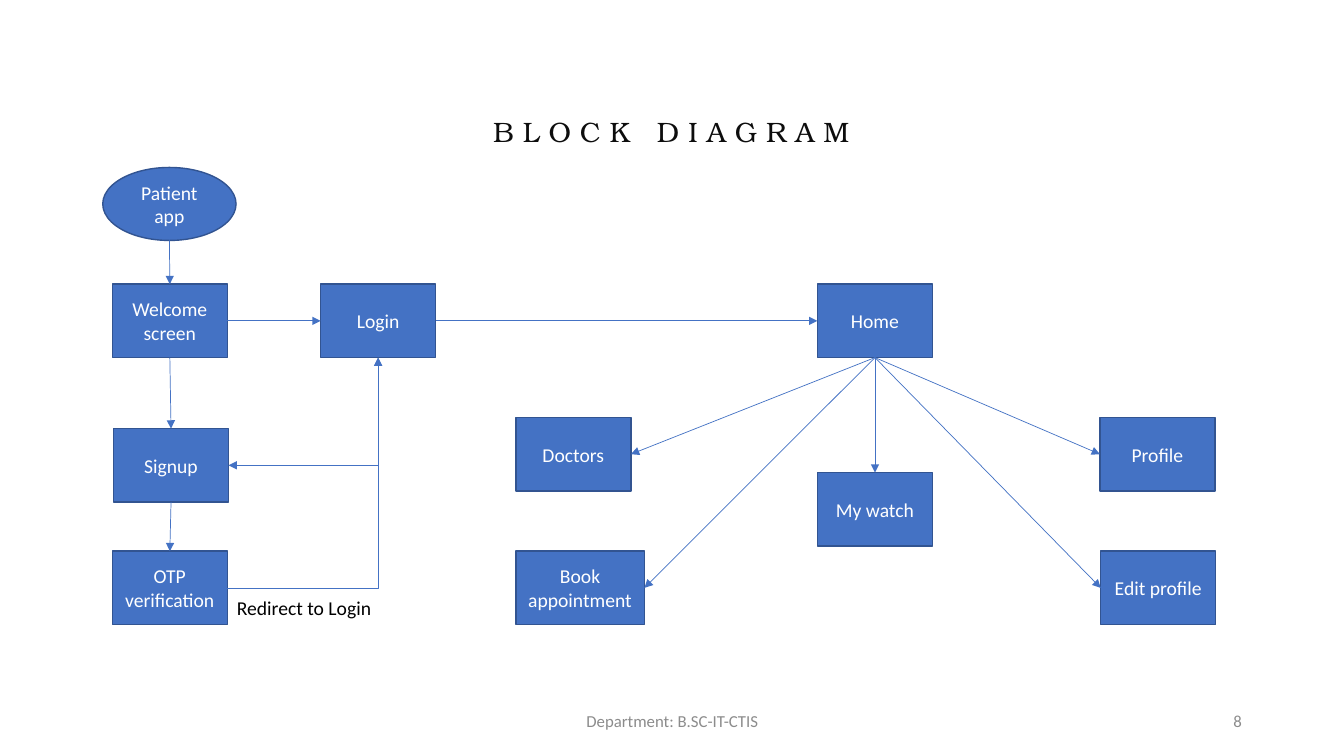
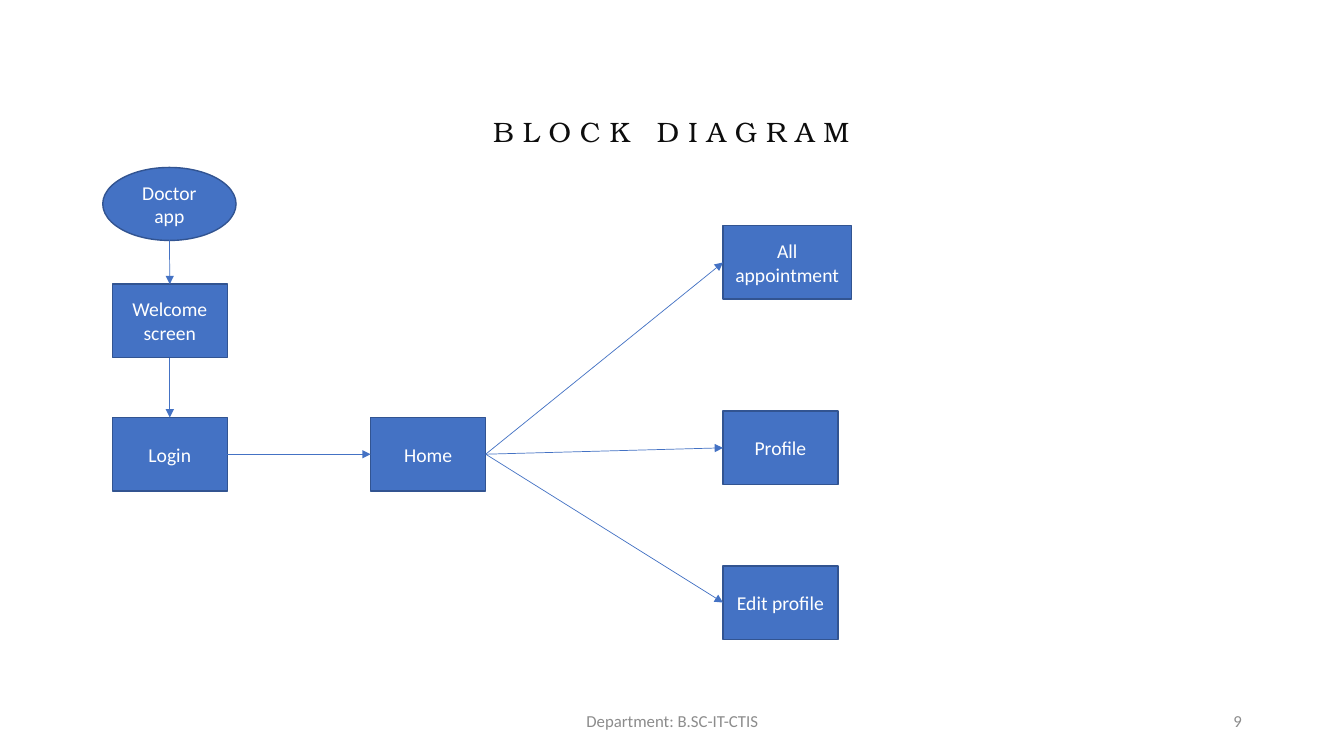
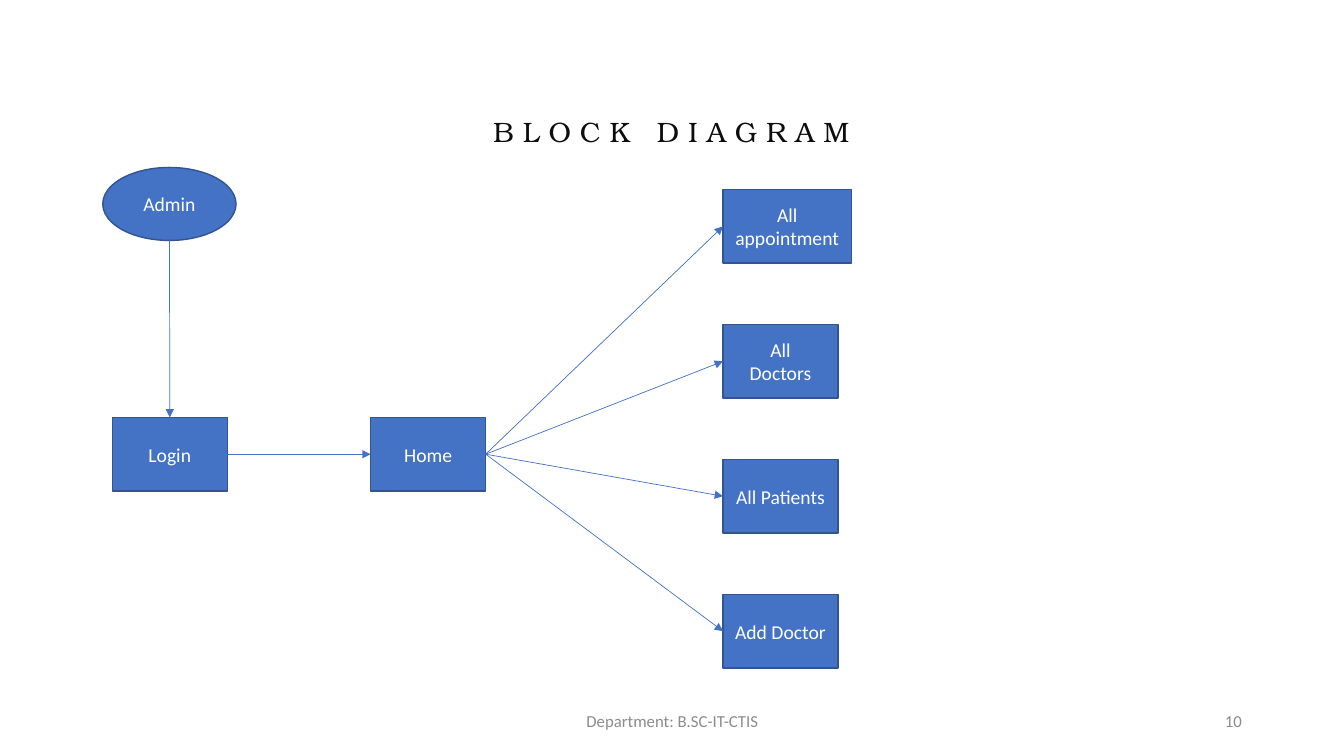
from pptx import Presentation
from pptx.dml.color import RGBColor
from pptx.enum.shapes import MSO_CONNECTOR, MSO_SHAPE
from pptx.enum.text import MSO_ANCHOR, MSO_AUTO_SIZE, PP_ALIGN
from pptx.oxml.ns import qn
from pptx.util import Cm, Pt
from lxml import etree

RECTANGLE, OVAL = MSO_SHAPE.RECTANGLE, MSO_SHAPE.OVAL
STRAIGHT, ELBOW = MSO_CONNECTOR.STRAIGHT, MSO_CONNECTOR.ELBOW
LEFT, CENTER, RIGHT = PP_ALIGN.LEFT, PP_ALIGN.CENTER, PP_ALIGN.RIGHT
TOP, MIDDLE = MSO_ANCHOR.TOP, MSO_ANCHOR.MIDDLE
NO_AUTOFIT = MSO_AUTO_SIZE.NONE

BLUE = RGBColor(0x44, 0x72, 0xC4)
DARK_BLUE = RGBColor(0x32, 0x54, 0x91)
WHITE = RGBColor(0xFF, 0xFF, 0xFF)
BLACK = RGBColor(0x00, 0x00, 0x00)
TITLE_COLOR = RGBColor(0x0D, 0x0D, 0x0D)
GREY = RGBColor(0x8C, 0x8C, 0x8C)

BODY_FONT = "Calibri"
TITLE_FONT = "TeX Gyre Bonum"
TITLE_WORDS = ("B L O C K", "D I A G R A M")
TITLE_GAP = 1280
FOOTER = "Department: B.SC-IT-CTIS"

BLOCK_WIDTH, BLOCK_HEIGHT = 2.9, 1.85
WIDE_BLOCK = 3.24
START_WIDTH, START_HEIGHT = 3.36, 1.84
BLOCK_INDENT = 0.24
DIAGRAM = (2.59, 4.22)
SITE_TOP, SITE_LEFT, SITE_BOTTOM, SITE_RIGHT = range(4)
OVAL_BOTTOM = "4"


def write_text(frame, text, size=14, color=WHITE, font=BODY_FONT,
               align=CENTER, anchor=MIDDLE, gap=None):
    frame.word_wrap = True
    frame.auto_size = NO_AUTOFIT
    frame.vertical_anchor = anchor
    for index, line in enumerate(text.split("\n")):
        paragraph = frame.add_paragraph() if index else frame.paragraphs[0]
        paragraph.alignment = align
        pieces = line.partition("\t") if gap else (line,)
        for piece in pieces:
            run = paragraph.add_run()
            run.text = piece.replace("\t", " ")
            run.font.size = Pt(size)
            run.font.name = font
            run.font.color.rgb = color
            if piece == "\t":
                run.font._element.set("spc", str(gap))


def add_label(slide, text, left, top, width, height, **style):
    label = slide.shapes.add_textbox(Cm(left), Cm(top), Cm(width), Cm(height))
    write_text(label.text_frame, text, **style)


def add_block(slide, text, left, top, width=BLOCK_WIDTH, height=BLOCK_HEIGHT,
              preset=RECTANGLE):
    block = slide.shapes.add_shape(
        preset, Cm(left), Cm(top), Cm(width), Cm(height))
    block.shadow.inherit = False
    block.fill.solid()
    block.fill.fore_color.rgb = BLUE
    block.line.color.rgb = DARK_BLUE
    block.line.width = Pt(1)
    write_text(block.text_frame, text)
    return block


def add_arrow(slide, source, source_site, target, target_site,
              kind=STRAIGHT, ends=("tailEnd",)):
    arrow = slide.shapes.add_connector(kind, 0, 0, 0, 0)
    arrow.begin_connect(source, source_site)
    arrow.end_connect(target, target_site)
    arrow.line.color.rgb = BLUE
    arrow.line.width = Pt(0.5)
    properties = arrow._element.spPr
    line = properties.find(qn("a:ln"))
    for end in ends:
        etree.SubElement(line, qn(f"a:{end}"), type="triangle")
    etree.SubElement(properties, qn("a:effectLst"))
    if kind == ELBOW:
        properties.find(qn("a:prstGeom")).set("prst", "bentConnector2")
    if source.auto_shape_type == OVAL:
        start = arrow._element.xpath(".//a:stCxn")[0]
        start.set("idx", OVAL_BOTTOM)
    return arrow


def add_base_slide(presentation, number):
    slide = presentation.slides.add_slide(presentation.slide_layouts[5])
    title = slide.shapes.title
    title.left, title.top = Cm(9.75), Cm(2.77)
    title.width, title.height = Cm(14.33), Cm(1.12)
    write_text(title.text_frame, "\t".join(TITLE_WORDS), size=20,
               color=TITLE_COLOR, font=TITLE_FONT, anchor=TOP, gap=TITLE_GAP)
    add_label(slide, str(number), 23.93, 17.65, 7.62, 1.02,
              size=12, color=GREY, align=RIGHT)
    add_label(slide, FOOTER, 11.23, 17.65, 11.43, 1.02, size=12, color=GREY)
    return slide


def draw_start_column(slide, left, top, start, steps):
    previous = add_block(slide, start, left, top,
                         START_WIDTH, START_HEIGHT, OVAL)
    blocks = []
    for text, shift, offset in steps:
        block = add_block(slide, text, left + BLOCK_INDENT + shift,
                          top + offset)
        add_arrow(slide, previous, SITE_BOTTOM, block, SITE_TOP)
        blocks.append(block)
        previous = block
    return blocks


def draw_fan(slide, left, top, hub, hub_site, targets):
    for text, x, y, width, site in targets:
        block = add_block(slide, text, left + x, top + y, width)
        add_arrow(slide, hub, hub_site, block, site)


def draw_patient_flow(slide, left, top):
    welcome, signup, verification = draw_start_column(
        slide, left, top, "Patient app",
        [("Welcome screen", 0, 2.94), ("Signup", 0.03, 6.58),
         ("OTP\nverification", 0, 9.67)])
    login = add_block(slide, "Login", left + 5.49, top + 2.94)
    home = add_block(slide, "Home", left + 18.01, top + 2.94)
    add_arrow(slide, welcome, SITE_RIGHT, login, SITE_LEFT)
    add_arrow(slide, login, SITE_RIGHT, home, SITE_LEFT)
    add_arrow(slide, verification, SITE_RIGHT, login, SITE_BOTTOM, ELBOW)
    add_arrow(slide, signup, SITE_RIGHT, login, SITE_BOTTOM, ELBOW,
              ("headEnd", "tailEnd"))
    add_label(slide, "Redirect to Login", left + 3.13, top + 10.66, 4.04, 0.86,
              color=BLACK, align=LEFT, anchor=TOP)
    draw_fan(slide, left, top, home, SITE_BOTTOM, [
        ("Doctors", 10.41, 6.3, BLOCK_WIDTH, SITE_RIGHT),
        ("Book appointment", 10.41, 9.67, WIDE_BLOCK, SITE_RIGHT),
        ("My watch", 18.01, 7.69, BLOCK_WIDTH, SITE_TOP),
        ("Profile", 25.13, 6.3, BLOCK_WIDTH, SITE_LEFT),
        ("Edit profile", 25.15, 9.67, BLOCK_WIDTH, SITE_LEFT)])


def draw_staff_flow(slide, left, top, start, steps, screens):
    login = draw_start_column(slide, left, top, start,
                              steps + [("Login", 0, 6.3)])[-1]
    home = add_block(slide, "Home", left + 6.75, top + 6.3)
    add_arrow(slide, login, SITE_RIGHT, home, SITE_LEFT)
    draw_fan(slide, left, top, home, SITE_RIGHT, [
        (text, 15.63, y, WIDE_BLOCK if "appointment" in text else BLOCK_WIDTH,
         SITE_LEFT) for text, y in screens])


def main():
    presentation = Presentation()
    presentation.slide_width = Cm(33.87)
    presentation.slide_height = Cm(19.05)
    patient, doctor, admin = [
        add_base_slide(presentation, number) for number in range(8, 11)]
    draw_patient_flow(patient, *DIAGRAM)
    draw_staff_flow(doctor, *DIAGRAM, "Doctor app",
                    [("Welcome screen", 0, 2.94)],
                    [("All appointment", 1.47), ("Profile", 6.14),
                     ("Edit profile", 10.04)])
    admin_screens = ["All appointment", "All\nDoctors", "All Patients",
                     "Add Doctor"]
    draw_staff_flow(admin, *DIAGRAM, "Admin", [],
                    [(text, 0.56 + 3.4 * row)
                     for row, text in enumerate(admin_screens)])
    presentation.save("out.pptx")


if __name__ == "__main__":
    main()
